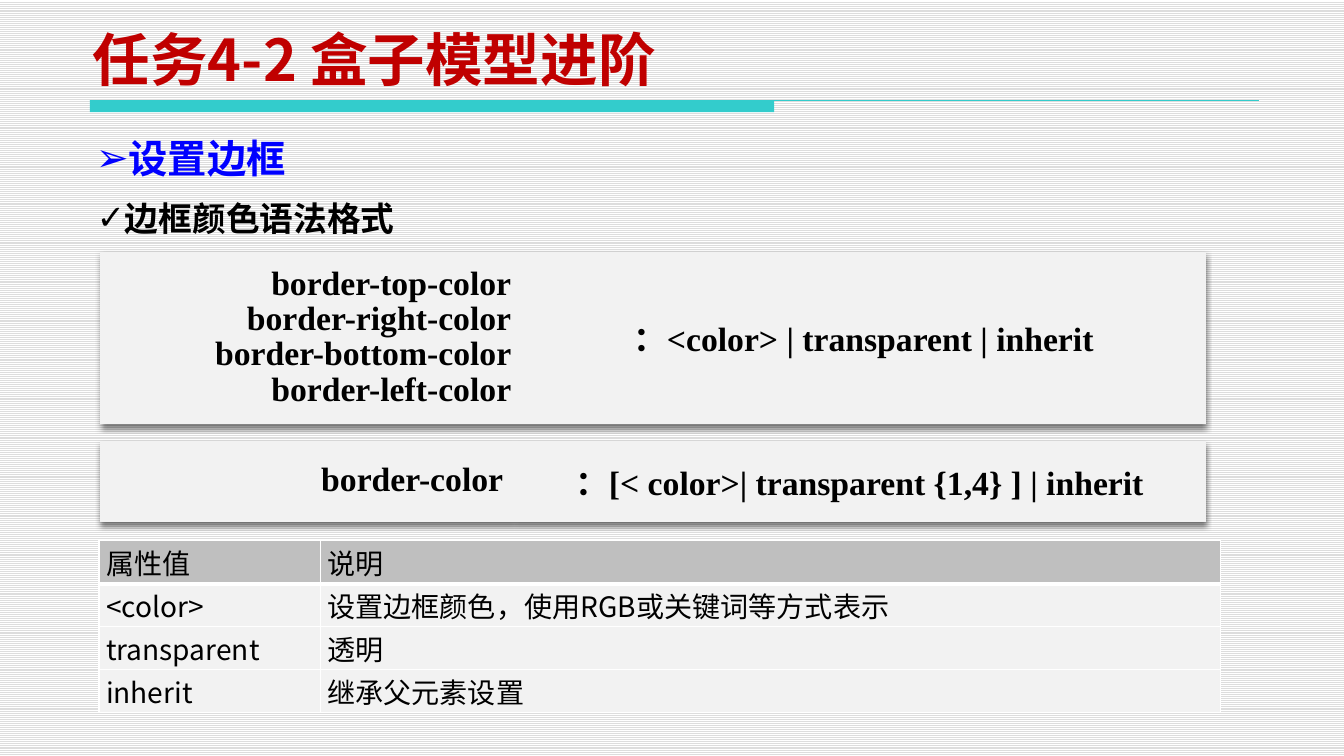
from dataclasses import dataclass

from lxml import etree
from pptx import Presentation
from pptx.dml.color import RGBColor
from pptx.enum import dml, shapes, text
from pptx.oxml import ns, parse_xml
from pptx.util import Inches, Pt


@dataclass(frozen=True)
class Theme:
    title: str = "C00000"
    accent: str = "33CCCC"
    heading: str = "0000FF"
    ink: str = "000000"
    white: str = "FFFFFF"
    stripe: str = "DDDDDD"
    panel: str = "F2F2F2"
    header: str = "BFBFBF"
    title_size: int = 41
    heading_size: int = 28
    body_size: int = 24
    table_size: int = 20
    sans: str = "Noto Sans CJK SC"
    serif: str = "Times New Roman"
    symbol: str = "DejaVu Sans"


THEME = Theme()
NO_TABLE_STYLE = "{2D5ABB26-0587-4C30-8999-92F81FD0307C}"
SHADOW = (
    f'<a:effectLst {ns.nsdecls("a")}><a:outerShdw blurRad="50800" dist="38100" '
    'dir="5400000" algn="t" rotWithShape="0"><a:srgbClr val="000000">'
    '<a:alpha val="50000"/></a:srgbClr></a:outerShdw></a:effectLst>'
)
VALUES = [
    ("属性值", "说明"),
    ("<color>", "设置边框颜色，使用RGB或关键词等方式表示"),
    ("transparent", "透明"),
    ("inherit", "继承父元素设置"),
]


def color(value):
    return RGBColor.from_string(value)


def add_run(paragraph, words, size, font, ink, bold=True):
    run = paragraph.add_run()
    run.text = words
    run.font.size = Pt(size)
    run.font.name = font
    run.font.bold = bold
    run.font.color.rgb = color(ink)
    east_asian = etree.Element(ns.qn("a:ea"), typeface=THEME.sans)
    run.font._element.find(ns.qn("a:latin")).addnext(east_asian)


def add_line_of_text(slide, box, words, size, font, ink,
                     anchor=text.MSO_ANCHOR.MIDDLE, bullet=None):
    frame = slide.shapes.add_textbox(*map(Inches, box)).text_frame
    frame.word_wrap = True
    frame.vertical_anchor = anchor
    paragraph = frame.paragraphs[0]
    if bullet:
        properties = paragraph._p.get_or_add_pPr()
        etree.SubElement(properties, ns.qn("a:buFont"), typeface=THEME.symbol)
        etree.SubElement(properties, ns.qn("a:buChar"), char=bullet)
    add_run(paragraph, words, size, font, ink)


def add_title_rule(slide):
    bar = slide.shapes.add_shape(shapes.MSO_SHAPE.RECTANGLE, Inches(0.89),
                                 Inches(0.99), Inches(6.77), Inches(0.12))
    bar.shadow.inherit = False
    bar.fill.solid()
    bar.fill.fore_color.rgb = color(THEME.accent)
    bar.line.fill.background()
    rule = slide.shapes.add_connector(shapes.MSO_CONNECTOR.STRAIGHT, Inches(0.89),
                                      Inches(0.99), Inches(12.46), Inches(0.99))
    rule.line.color.rgb = color(THEME.accent)
    rule.line.width = Pt(0.75)
    etree.SubElement(rule._element.spPr, ns.qn("a:effectLst"))


def add_plain_table(slide, left, top, widths, heights):
    """Add a table without style, with the given column and row sizes."""
    table = slide.shapes.add_table(
        len(heights), len(widths), Inches(left), Inches(top),
        Inches(sum(widths)), Inches(sum(heights))).table
    table.first_row = table.horz_banding = False
    table._tbl.tblPr.find(ns.qn("a:tableStyleId")).text = NO_TABLE_STYLE
    for column, width in zip(table.columns, widths):
        column.width = Inches(width)
    for row, height in zip(table.rows, heights):
        row.height = Inches(height)
    return table


def fill_cell(cell, fill):
    cell.fill.solid()
    cell.fill.fore_color.rgb = color(fill)
    cell.vertical_anchor = text.MSO_ANCHOR.MIDDLE


def set_borders(cell, **widths):
    """Draw white borders; keys are L, R, T and B in that order."""
    for index, (side, width) in enumerate(widths.items()):
        cell._tc.get_or_add_tcPr().insert(index, parse_xml(
            f'<a:ln{side} {ns.nsdecls("a")} w="{Pt(width)}"><a:solidFill>'
            f'<a:srgbClr val="{THEME.white}"/></a:solidFill></a:ln{side}>'))


def add_syntax_panel(slide, top, height, widths, properties, syntax):
    """Add a shadowed panel: property names on the left, their values on the right."""
    table = add_plain_table(slide, 0.99, top, widths, [height])
    table._tbl.tblPr.insert(0, parse_xml(SHADOW))
    sides = ((properties, text.PP_ALIGN.RIGHT), ([syntax], text.PP_ALIGN.CENTER))
    for cell, (lines, alignment) in zip(table.rows[0].cells, sides):
        fill_cell(cell, THEME.panel)
        frame = cell.text_frame
        for index, line in enumerate(lines):
            paragraph = frame.add_paragraph() if index else frame.paragraphs[0]
            paragraph.alignment = alignment
            paragraph.line_spacing = 0.95
            add_run(paragraph, line, THEME.body_size, THEME.serif, THEME.ink)


def add_value_table(slide):
    table = add_plain_table(slide, 0.98, 5.35, [2.19, 8.91], [0.425] * len(VALUES))
    for row, (cells, entries) in enumerate(zip(table.rows, VALUES)):
        for cell, entry in zip(cells.cells, entries):
            fill_cell(cell, THEME.panel if row else THEME.header)
            cell.margin_left = cell.margin_right = Inches(0.07)
            cell.margin_top = cell.margin_bottom = 0
            set_borders(cell, L=1, R=1, T=3 if row == 1 else 1, B=1 if row else 3)
            paragraph = cell.text_frame.paragraphs[0]
            paragraph.alignment = text.PP_ALIGN.JUSTIFY
            add_run(paragraph, entry, THEME.table_size, THEME.sans, THEME.ink, False)


def set_striped_background(slide):
    fill = slide.background.fill
    fill.patterned()
    fill.pattern = dml.MSO_PATTERN.LIGHT_HORIZONTAL
    fill.fore_color.rgb = color(THEME.stripe)
    fill.back_color.rgb = color(THEME.white)


def main():
    deck = Presentation()
    deck.slide_width, deck.slide_height = Inches(13.3), Inches(7.48)
    slide = deck.slides.add_slide(deck.slide_layouts[6])
    set_striped_background(slide)
    add_title_rule(slide)
    add_line_of_text(slide, (0.82, 0.28, 8.03, 0.69), "任务4-2 盒子模型进阶",
                     THEME.title_size, THEME.sans, THEME.title,
                     anchor=text.MSO_ANCHOR.BOTTOM)
    add_line_of_text(slide, (0.85, 1.28, 8.66, 0.57), "设置边框",
                     THEME.heading_size, THEME.symbol, THEME.heading, bullet="➢")
    add_line_of_text(slide, (0.86, 1.91, 7.33, 0.5), "边框颜色语法格式",
                     THEME.body_size, THEME.serif, THEME.ink, bullet="✓")
    add_syntax_panel(slide, 2.49, 1.7, [4.17, 6.77],
                     [f"border-{side}-color" for side in ("top", "right", "bottom", "left")],
                     "：<color> | transparent | inherit")
    add_syntax_panel(slide, 4.36, 0.8, [4.09, 6.85], ["border-color"],
                     "：[< color>| transparent {1,4} ] | inherit")
    add_value_table(slide)
    deck.save("out.pptx")


if __name__ == "__main__":
    main()
